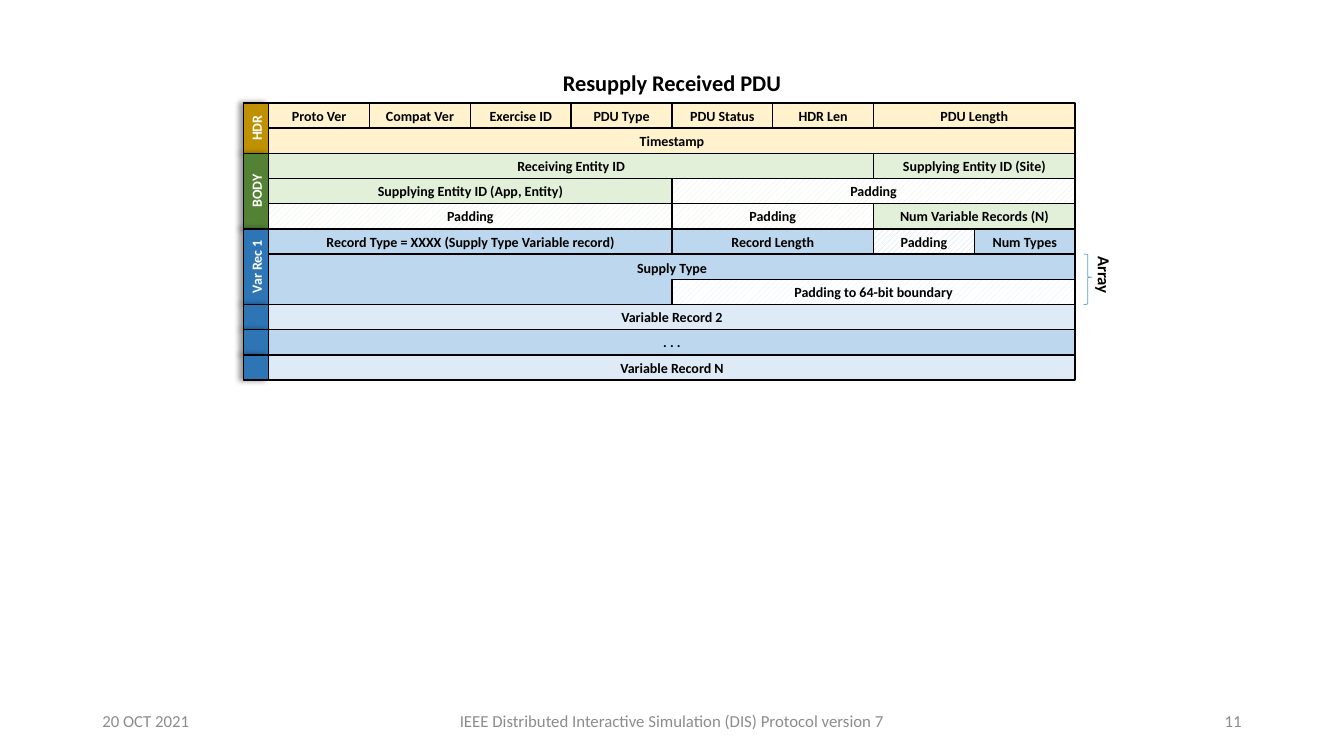
from lxml import etree
from pptx import Presentation
from pptx.dml.color import RGBColor
from pptx.enum import dml, shapes, text
from pptx.oxml import ns
from pptx.util import Pt

LEFT, TOP, COL, ROW = 192, 73.5, 72, 18
SAND, GREEN, BLUE, PALE = "FFF2CC", "E2F0D9", "BDD7EE", "DEEBF7"
GOLD, MOSS, NAVY, GREY = "BF9000", "548235", "2E75B6", "8C8C8C"

# label, row, column, columns wide, colour
FIELDS = [
    ("Timestamp", 1, 0, 8, SAND),
    ("Receiving Entity ID", 2, 0, 6, GREEN),
    ("Supplying Entity ID (Site)", 2, 6, 2, GREEN),
    ("Supplying Entity ID (App, Entity)", 3, 0, 4, GREEN),
    ("Num Variable Records (N)", 4, 6, 2, GREEN),
    ("Record Type = XXXX (Supply Type Variable record)", 5, 0, 4, BLUE),
    ("Record Length", 5, 4, 2, BLUE),
    ("Num Types", 5, 7, 1, BLUE),
    ("Variable Record 2", 8, 0, 8, PALE),
    (". . .", 9, 0, 8, BLUE),
    ("Variable Record N", 10, 0, 8, PALE),
]
PADS = [
    ("Padding", 3, 4, 4, GREEN),
    ("Padding", 4, 0, 4, GREEN),
    ("Padding", 4, 4, 2, GREEN),
    ("Padding", 5, 6, 1, BLUE),
    ("Padding to 64-bit boundary", 7, 4, 4, PALE),
]
# label, first row, rows tall, colour
TABS = [("HDR", 0, 2, GOLD), ("BODY", 2, 3, MOSS), ("Var Rec 1", 5, 3, NAVY),
        ("", 8, 1, NAVY), ("", 9, 1, NAVY), ("", 10, 1, NAVY)]
HEAD = ["Proto Ver", "Compat Ver", "Exercise ID", "PDU Type", "PDU Status", "HDR Len"]


def color(code):
    """Turn a hex string into a colour."""
    return RGBColor.from_string(code)


def write(shape, words, size=10, ink="000000", bold=True, align="CENTER", anchor="MIDDLE"):
    """Put one formatted paragraph in a shape."""
    frame = shape.text_frame
    frame.word_wrap = True
    frame.vertical_anchor = getattr(text.MSO_ANCHOR, anchor)
    para = frame.paragraphs[0]
    para.alignment = getattr(text.PP_ALIGN, align)
    if words:
        run = para.add_run()
        run.text = words
        for name, value in {"name": "Calibri", "size": Pt(size), "bold": bold}.items():
            setattr(run.font, name, value)
        run.font.color.rgb = color(ink)


def box(group, x, y, wide, high, fill):
    """Draw a filled rectangle with a black outline."""
    shape = group.add_shape(shapes.MSO_SHAPE.RECTANGLE, Pt(x), Pt(y), Pt(wide), Pt(high))
    shape.shadow.inherit = False
    shape.fill.solid()
    shape.fill.fore_color.rgb = color(fill)
    shape.line.color.rgb = color("000000")
    shape.line.width = Pt(1)
    return shape


def field(group, words, row, col, span, fill, rows=1, anchor="MIDDLE"):
    """Draw one labelled field on the grid."""
    shape = box(group, LEFT + col * COL, TOP + row * ROW, span * COL, rows * ROW, fill)
    write(shape, words, anchor=anchor)
    return shape


def pad(group, *spot):
    """Draw a hatched padding field."""
    fill = field(group, *spot).fill
    fill.patterned()
    fill.pattern = dml.MSO_PATTERN.WIDE_UPWARD_DIAGONAL
    fill.fore_color.rgb = color(spot[-1])
    fill.back_color.rgb = color("FFFFFF")


def shade(shape):
    """Cast a soft shadow to the left of a shape."""
    effects = shape.element.spPr.find(ns.qn("a:effectLst"))
    outer = etree.SubElement(effects, ns.qn("a:outerShdw"), blurRad=str(Pt(4)),
                             dist=str(Pt(3)), dir="10800000", rotWithShape="0")
    black = etree.SubElement(outer, ns.qn("a:srgbClr"), val="000000")
    etree.SubElement(black, ns.qn("a:alpha"), val="40000")


def tab(group, words, row, rows, fill):
    """Draw a section tab turned to read upward."""
    long = rows * ROW
    mid = TOP + row * ROW + long / 2
    shape = box(group, LEFT - ROW / 2 - long / 2, mid - ROW / 2, long, ROW, fill)
    shape.rotation = 270
    shade(shape)
    write(shape, words, ink="FFFFFF")


def label(group, words, x, y, wide, high, turn=0, **style):
    """Place a text box."""
    shape = group.add_textbox(Pt(x), Pt(y), Pt(wide), Pt(high))
    shape.rotation = turn
    write(shape, words, **style)


def brace(group, x, row, rows):
    """Draw a right brace beside some rows."""
    shape = group.add_shape(shapes.MSO_SHAPE.RIGHT_BRACE, Pt(x), Pt(TOP + row * ROW),
                            Pt(6), Pt(rows * ROW))
    shape.shadow.inherit = False
    shape.adjustments[0], shape.adjustments[1] = 0.08, 0.46
    shape.fill.background()
    shape.line.color.rgb = color("5B9BD5")
    shape.line.width = Pt(0.5)


def main():
    """Build the slide and save it."""
    deck = Presentation()
    deck.slide_width, deck.slide_height = Pt(960), Pt(540)
    slide = deck.slides.add_slide(deck.slide_layouts[6])
    group = slide.shapes.add_group_shape().shapes

    field(group, "Supply Type", 6, 0, 8, BLUE, rows=2, anchor="TOP")
    for col, words in enumerate(HEAD):
        field(group, words, 0, col, 1, SAND)
    field(group, "PDU Length", 0, 6, 2, SAND)
    for spot in FIELDS:
        field(group, *spot)
    for spot in PADS:
        pad(group, *spot)
    for spot in TABS:
        tab(group, *spot)
    label(group, "Resupply Received PDU", 336, 50, 288, 18, size=16)
    label(group, "Array", 768, 187.5, 42, 18, turn=90, size=12)
    brace(group, 774, 6, 2)

    foot = {"size": 12, "ink": GREY, "bold": False}
    label(slide.shapes, "20 OCT 2021", 66, 500.5, 216, 28.75, align="LEFT", **foot)
    label(slide.shapes, "IEEE Distributed Interactive Simulation (DIS) Protocol version 7",
          318, 500.5, 324, 28.75, **foot)
    label(slide.shapes, "11", 678, 500.5, 216, 28.75, align="RIGHT", **foot)
    deck.save("out.pptx")


if __name__ == "__main__":
    main()
